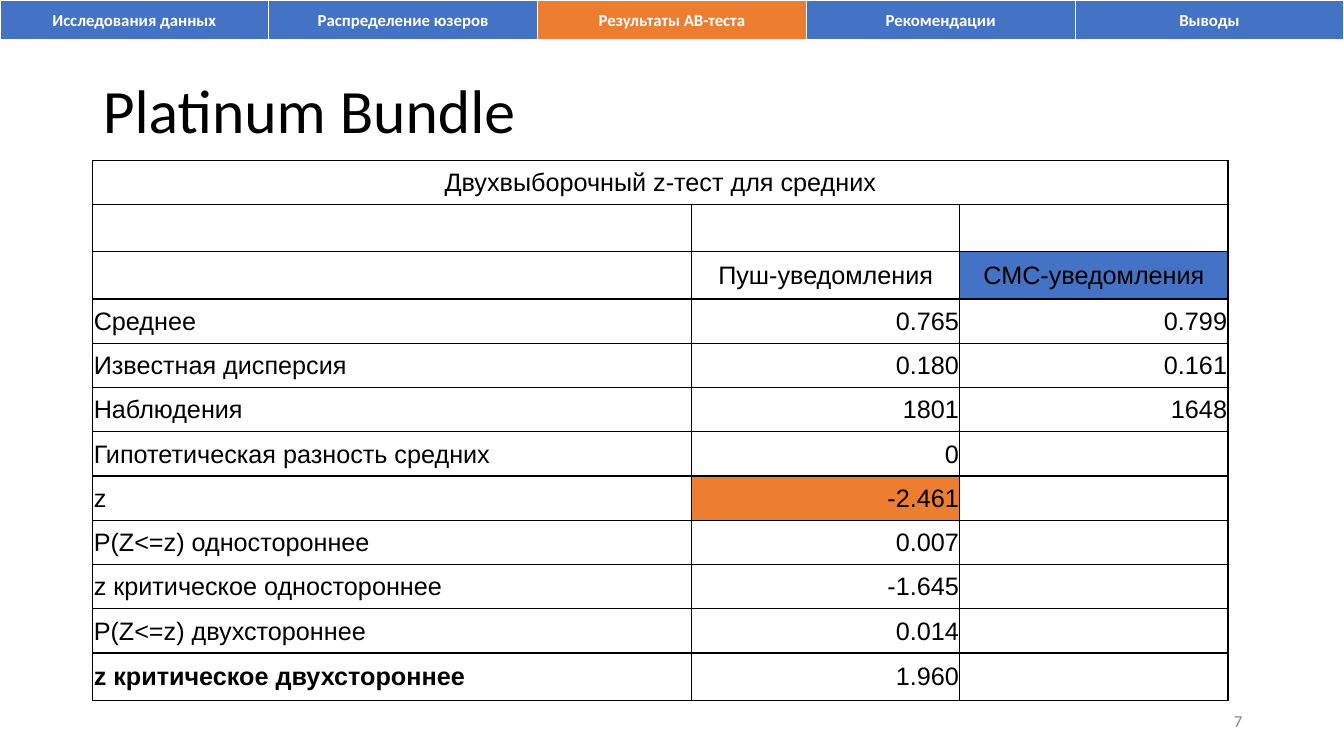
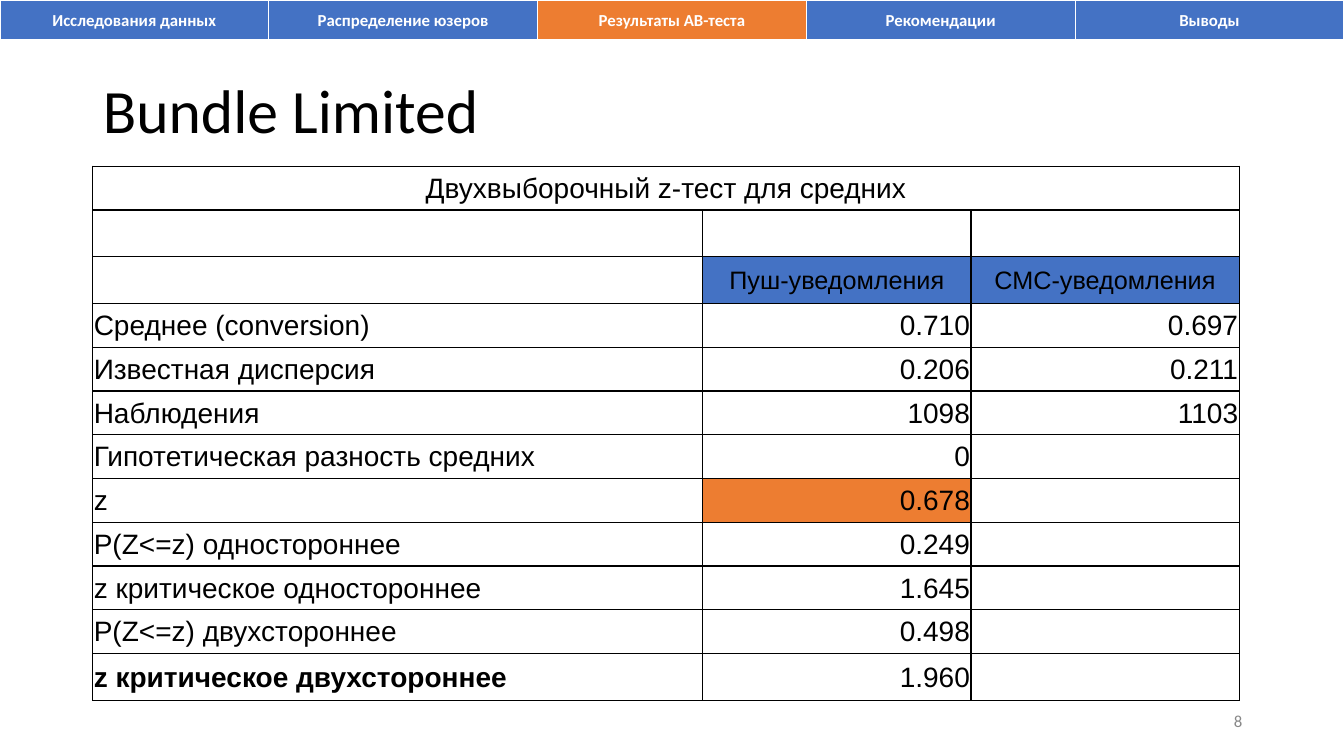
"""Build two slides with z-test results under a shared navigation band."""
import dataclasses
import itertools

import lxml.etree
import pptx
import pptx.dml.color
import pptx.enum.text
import pptx.oxml.ns
import pptx.util

Inches = pptx.util.Inches
Align = pptx.enum.text.PP_ALIGN
MIDDLE = pptx.enum.text.MSO_ANCHOR.MIDDLE

BLUE, ORANGE, WHITE, BLACK, GREY = "4472C4", "ED7D31", "FFFFFF", "000000", "888888"
LEFT = 0.92
VALUE_WIDTH = 2.66
EXTRA = 0.03
TALL = (1, 2, 11)
PADS = (0.1, 0.05, 0.1, 0.05)
TIGHT = (0.01, 0.01, 0.01, 0)
THIN = {"L": 1, "R": 1, "T": 1, "B": 1}
HEADING = "Двухвыборочный z-тест для средних"
GROUPS = ("Пуш-уведомления", "СМС-уведомления")
LABELS = (
    "Известная дисперсия",
    "Наблюдения",
    "Гипотетическая разность средних",
    "z",
    "P(Z<=z) одностороннее",
    "z критическое одностороннее",
    "P(Z<=z) двухстороннее",
    "z критическое двухстороннее",
)
STEPS = (
    "Исследования данных",
    "Распределение юзеров",
    "Результаты АВ-теста",
    "Рекомендации",
    "Выводы",
)
ACTIVE = 2


@dataclasses.dataclass(frozen=True)
class Test:
    title: str
    number: int
    top: float
    height: float
    wide: float
    size: int
    mean: str
    push: tuple[str, ...]
    sms: tuple[str, ...]
    marked: tuple[str, ...]


TESTS = (
    Test("Platinum Bundle", 7, 1.59, 5.36, 5.94, 18, "Среднее",
         ("0.765", "0.180", "1801", "0", "-2.461", "0.007", "-1.645", "0.014", "1.960"),
         ("0.799", "0.161", "1648"), GROUPS[1:]),
    Test("Bundle Limited", 8, 1.65, 5.3, 6.05, 20, "Среднее (conversion)",
         ("0.710", "0.206", "1098", "0", "0.678", "0.249", "1.645", "0.498", "1.960"),
         ("0.697", "0.211", "1103"), GROUPS),
)


def color(code: str) -> pptx.dml.color.RGBColor:
    return pptx.dml.color.RGBColor.from_string(code)


def write(frame, text: str, *, size: float, font: str = "Calibri", ink: str = BLACK,
          bold: bool = False, align=Align.LEFT, spacing: float = 1.0) -> None:
    para = frame.paragraphs[0]
    para.alignment = align
    para.line_spacing = spacing
    run = para.add_run()
    run.text = text
    run.font.name = font
    run.font.size = pptx.util.Pt(size)
    run.font.bold = bold
    run.font.color.rgb = color(ink)


def edge(cell, ink: str, widths: dict[str, int]) -> None:
    props = cell._tc.get_or_add_tcPr()
    tag = pptx.oxml.ns.qn
    for side, width in widths.items():
        line = lxml.etree.SubElement(props, tag(f"a:ln{side}"), w=str(pptx.util.Pt(width)))
        fill = lxml.etree.SubElement(line, tag("a:solidFill"))
        lxml.etree.SubElement(fill, tag("a:srgbClr"), val=ink)


def style(cell, fill: str, ink: str, widths: dict[str, int], pads: tuple) -> None:
    edge(cell, ink, widths)
    cell.fill.solid()
    cell.fill.fore_color.rgb = color(fill)
    cell.vertical_anchor = MIDDLE
    cell.margin_left, cell.margin_top, cell.margin_right, cell.margin_bottom = map(Inches, pads)


def grid(slide, left: float, top: float, widths: list[float], heights: list[float]):
    table = slide.shapes.add_table(
        len(heights), len(widths), Inches(left), Inches(top),
        Inches(sum(widths)), Inches(sum(heights))).table
    table.first_row = table.horz_banding = False
    for column, width in zip(table.columns, widths):
        column.width = Inches(width)
    for row, height in zip(table.rows, heights):
        row.height = Inches(height)
    return table


def draw_title(slide, text: str) -> None:
    title = slide.shapes.title
    title.left, title.top = Inches(LEFT), Inches(0.4)
    title.width, title.height = Inches(11.5), Inches(1.45)
    frame = title.text_frame
    frame.auto_size = pptx.enum.text.MSO_AUTO_SIZE.NONE
    frame.vertical_anchor = MIDDLE
    write(frame, text, size=44, spacing=0.9)


def draw_number(slide, number: int) -> None:
    box = slide.shapes.add_textbox(Inches(9.42), Inches(6.95), Inches(3), Inches(0.4))
    box.text_frame.word_wrap = True
    box.text_frame.vertical_anchor = MIDDLE
    write(box.text_frame, str(number), size=12, ink=GREY, align=Align.RIGHT)


def draw_test(slide, test: Test) -> None:
    stats = itertools.zip_longest((test.mean, *LABELS), test.push, test.sms, fillvalue="")
    rows = [(HEADING, "", ""), ("", "", ""), ("", *GROUPS), *stats]
    base = (test.height - EXTRA * len(TALL)) / len(rows)
    heights = [base + EXTRA * (index in TALL) for index in range(len(rows))]
    table = grid(slide, LEFT, test.top, [test.wide, VALUE_WIDTH, VALUE_WIDTH], heights)
    table.cell(0, 0).merge(table.cell(0, 2))
    for down, row in enumerate(rows):
        for across, text in enumerate(row):
            cell = table.cell(down, across)
            score = row[0] == "z" and across == 1
            fill = ORANGE if score else BLUE if text in test.marked else WHITE
            style(cell, fill, BLACK, THIN, TIGHT)
            if text:
                align = Align.CENTER if down < 3 else Align.RIGHT if across else Align.LEFT
                write(cell.text_frame, text, font="Arial", align=align,
                      size=18 if text in GROUPS else test.size, bold=text == LABELS[-1])


def draw_band(slide) -> None:
    table = grid(slide, 0, 0, [13.33 / len(STEPS)] * len(STEPS), [0.41])
    for index, step in enumerate(STEPS):
        cell = table.cell(0, index)
        style(cell, ORANGE if index == ACTIVE else BLUE, WHITE, {**THIN, "B": 3}, PADS)
        write(cell.text_frame, step, size=12, ink=WHITE, bold=True, align=Align.CENTER)


def main() -> None:
    deck = pptx.Presentation()
    deck.slide_width, deck.slide_height = Inches(13.33), Inches(7.5)
    for test in TESTS:
        slide = deck.slides.add_slide(deck.slide_layouts.get_by_name("Title Only"))
        draw_title(slide, test.title)
        draw_number(slide, test.number)
        draw_test(slide, test)
        draw_band(slide)
    deck.save("out.pptx")


main()
